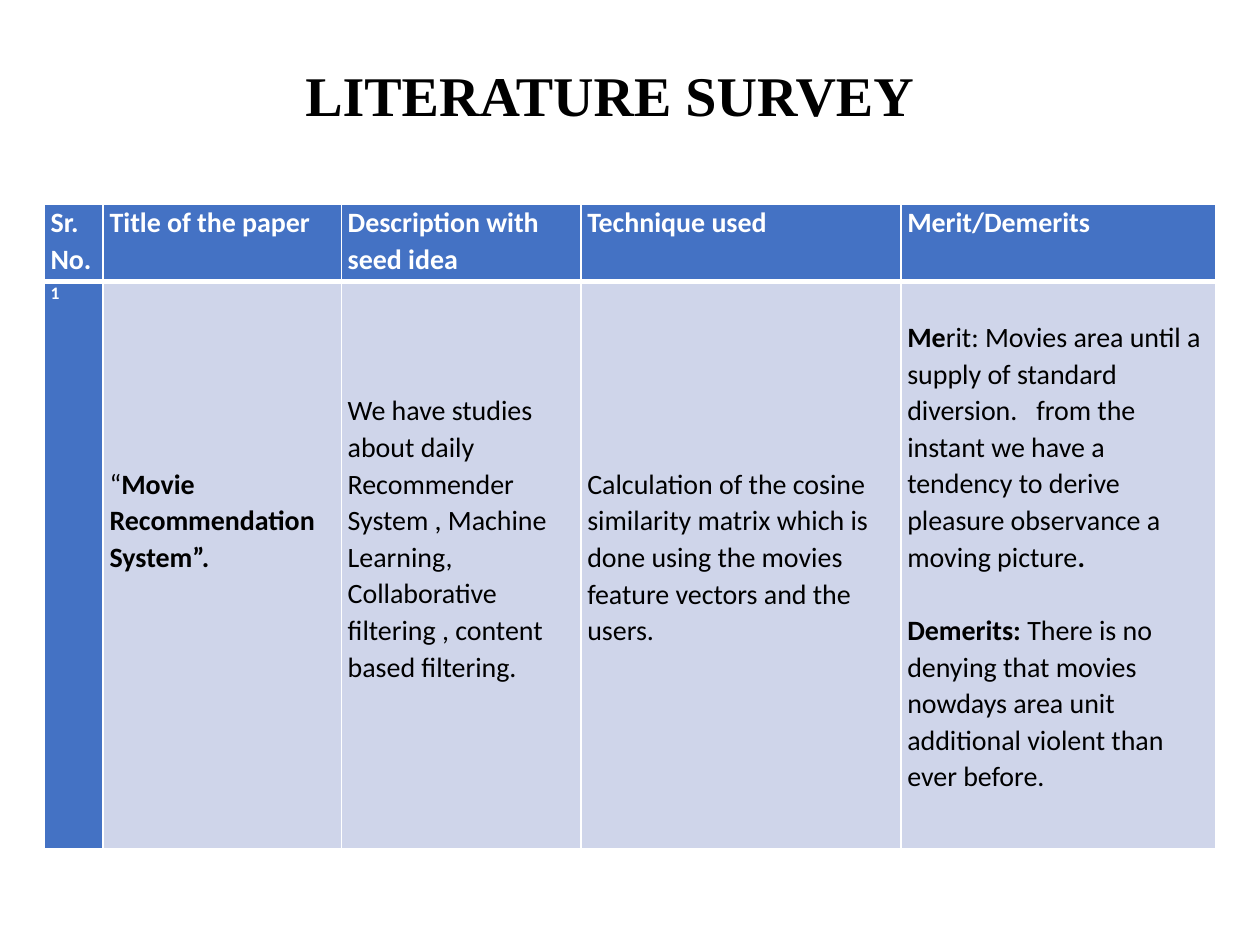
from pptx import Presentation
from pptx import util as u
from pptx.dml.color import RGBColor
from pptx.enum import text
from pptx.oxml import parse_xml
from pptx.oxml.ns import nsdecls

WHITE = RGBColor(0xFF, 0xFF, 0xFF)
BLACK = RGBColor(0x00, 0x00, 0x00)
BLUE = RGBColor(0x44, 0x72, 0xC4)
PALE = RGBColor(0xCF, 0xD5, 0xEA)
BODY_FONT = "Calibri"
TITLE_FONT = "Times New Roman"
LINE_CM = 0.74

COLS = [1.19, 4.8, 4.83, 6.45, 6.35]
ROWS = [1.57, 11.43]
HEADERS = ["Sr. No.", "Title of the paper", "Description with seed idea",
           "Technique used", "Merit/Demerits"]
PAPER = [
    (5, [[("“", False), ("Movie Recommendation System”.", True)]]),
    (3, [[("We have studies about daily Recommender", False)],
         [("System , Machine Learning, Collaborative filtering , "
           "content based filtering.", False)]]),
    (5, [[("Calculation of the cosine similarity matrix which is done using "
           "the movies feature vectors and the users.", False)]]),
    (1, [[("Me", True),
          ("rit: Movies area until a supply of standard diversion.   from the "
           "instant we have a tendency to derive pleasure observance a moving "
           "picture", False), (".", True)],
         [("Demerits: ", True),
          ("There is no denying that movies nowdays area unit additional "
           "violent than ever before.", False)]]),
]


def write(tf, paragraphs, size=16, color=BLACK, font=BODY_FONT,
          align=text.PP_ALIGN.LEFT, spacing=1.07, gap=0):
    """Write paragraphs of (text, bold) runs into a text frame."""
    tf.word_wrap = True
    for i, runs in enumerate(paragraphs):
        p = tf.add_paragraph() if i else tf.paragraphs[0]
        p.alignment = align
        p.line_spacing = spacing
        p.space_before = u.Cm(gap if i else 0)
        for words, bold in runs:
            r = p.add_run()
            r.text = words
            r.font.name = font
            r.font.size = u.Pt(size)
            r.font.bold = bold
            r.font.color.rgb = color


def set_borders(cell, **widths):
    """Give a cell white borders of the given widths in points."""
    tc_pr = cell._tc.get_or_add_tcPr()
    for i, side in enumerate("LRTB"):
        tc_pr.insert(i, parse_xml(
            f'<a:ln{side} {nsdecls("a")} w="{u.Pt(widths.get(side, 1))}">'
            f'<a:solidFill><a:srgbClr val="{WHITE}"/></a:solidFill></a:ln{side}>'))


def fill_cell(cell, paragraphs, fill, lines_above=0, borders=None, **fmt):
    """Set the fill, margins, borders and text of a cell."""
    cell.fill.solid()
    cell.fill.fore_color.rgb = fill
    cell.margin_left = cell.margin_right = u.Cm(0.13)
    cell.margin_top = u.Cm(lines_above * LINE_CM)
    cell.margin_bottom = 0
    cell.vertical_anchor = text.MSO_ANCHOR.TOP
    set_borders(cell, **(borders or {}))
    write(cell.text_frame, paragraphs, **fmt)


def add_title(s, left, top, width, height):
    """Place the slide heading in its box."""
    tf = s.shapes.add_textbox(u.Cm(left), u.Cm(top), u.Cm(width), u.Cm(height)).text_frame
    write(tf, [[("LITERATURE SURVEY", True)]], size=32, font=TITLE_FONT,
          align=text.PP_ALIGN.CENTER, spacing=1)


def add_survey(s, left, top):
    """Place the survey table with its top left corner at the given point."""
    table = s.shapes.add_table(len(ROWS), len(COLS), u.Cm(left), u.Cm(top),
                               u.Cm(sum(COLS)), u.Cm(sum(ROWS))).table
    for column, width in zip(table.columns, COLS):
        column.width = u.Cm(width)
    for row, height in zip(table.rows, ROWS):
        row.height = u.Cm(height)
    for c, label in enumerate(HEADERS):
        fill_cell(table.cell(0, c), [[(label, True)]], BLUE, color=WHITE, borders={"B": 3})
    fill_cell(table.cell(1, 0), [[("1", True)]], BLUE, color=WHITE, size=10, borders={"T": 3})
    for c, (lines_above, paragraphs) in enumerate(PAPER, 1):
        gap = LINE_CM if c == len(PAPER) else 0
        fill_cell(table.cell(1, c), paragraphs, PALE, lines_above, borders={"T": 3}, gap=gap)


def main():
    """Build and save the slide."""
    prs = Presentation()
    prs.slide_width, prs.slide_height = u.Cm(25.4), u.Cm(19.05)
    s = prs.slides.add_slide(prs.slide_layouts[6])
    add_title(s, 3.1, 1.09, 18.39, 1.63)
    add_survey(s, 0.89, 4.11)
    prs.save("out.pptx")


main()
